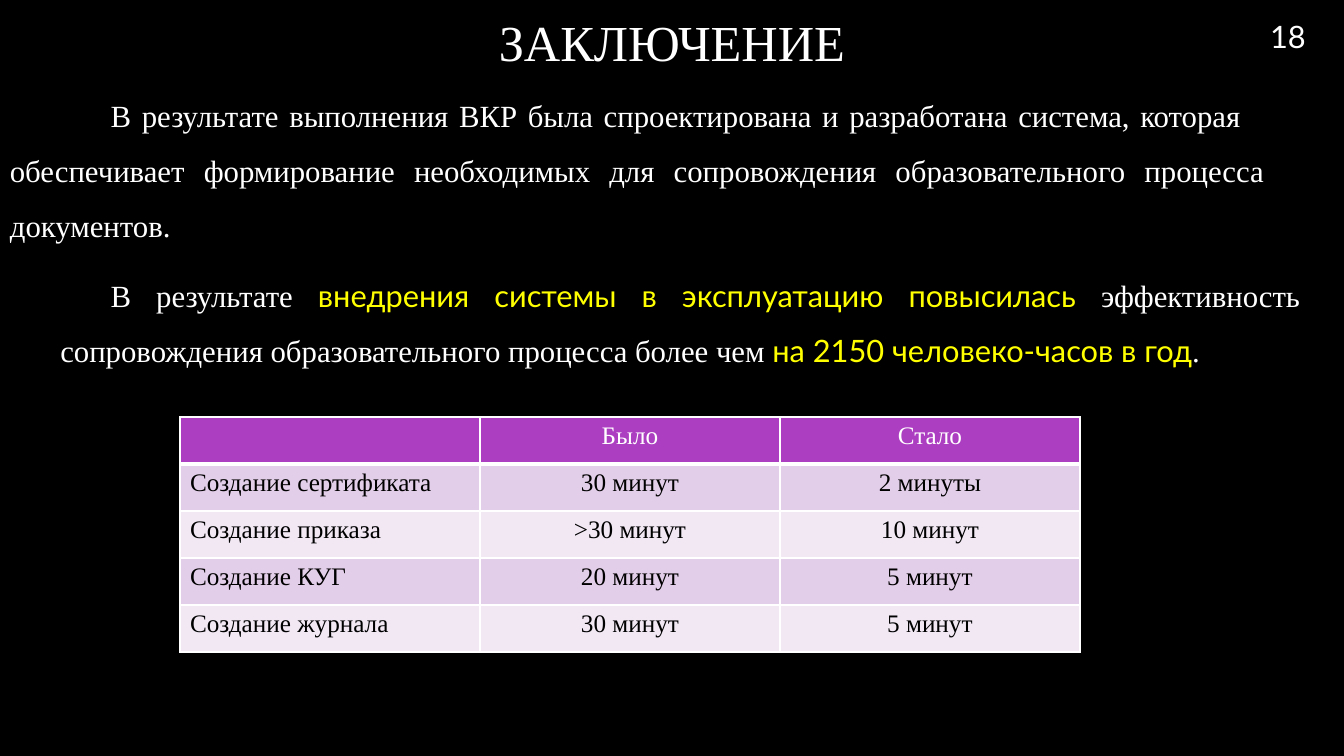
"""Build the conclusion slide with a before/after time table."""
from dataclasses import dataclass

from lxml import etree
from pptx import Presentation
from pptx import util as u
from pptx.dml.color import RGBColor
from pptx.enum import text
from pptx.oxml.ns import qn


@dataclass(frozen=True)
class Theme:
    """Colours, fonts and type sizes."""
    back: str = "000000"
    light: str = "FFFFFF"
    dark: str = "000000"
    accent: str = "FFFF00"
    header: str = "AC3EC1"
    bands: tuple = ("E3CEE9", "F1E8F4")
    serif: str = "Times New Roman"
    sans: str = "Lato"
    title: int = 36
    body: int = 22
    cell: int = 18


T = Theme()
CENTER = text.PP_ALIGN.CENTER
JUSTIFY = text.PP_ALIGN.JUSTIFY
RESULT = ("\t\tВ результате выполнения ВКР была спроектирована и разработана система, "
          "которая \tобеспечивает формирование необходимых для сопровождения "
          "образовательного процесса \tдокументов.")
EFFECT = (
    ("\tВ результате ", False),
    ("внедрения системы в эксплуатацию повысилась ", True),
    ("эффективность сопровождения образовательного процесса более чем ", False),
    ("на 2150 человеко-часов в год", True),
    (".", False),
)
ROWS = (
    ("", "Было", "Стало"),
    ("Создание сертификата", "30 минут", "2 минуты"),
    ("Создание приказа", ">30 минут", "10 минут"),
    ("Создание КУГ", "20 минут", "5 минут"),
    ("Создание журнала", "30 минут", "5 минут"),
)


def px(n):
    """Turn pixels into EMU."""
    return u.Emu(round(n * 914400 / 100.8))


def style(r, size, font=T.serif, color=T.light):
    """Format one run."""
    r.font.size = u.Pt(size)
    r.font.name = font
    r.font.bold = False
    r.font.color.rgb = RGBColor.from_string(color)


def add_box(s, x, y, w, h, anchor=text.MSO_ANCHOR.MIDDLE):
    """Add a wrapping text box and return its text frame."""
    tf = s.shapes.add_textbox(px(x), px(y), px(w), px(h)).text_frame
    tf.word_wrap = True
    tf.vertical_anchor = anchor
    return tf


def add_label(s, label, box, size, font):
    """Add one centred line of text."""
    tf = add_box(s, *box)
    tf.text = label
    p = tf.paragraphs[0]
    p.alignment = CENTER
    style(p.runs[0], size, font)


def add_body(s):
    """Add the two justified paragraphs."""
    tf = add_box(s, 0, 73, 1310, 616, text.MSO_ANCHOR.TOP)
    tf.text = RESULT
    style(tf.paragraphs[0].runs[0], T.body)
    effect = tf.add_paragraph()
    effect.level = 1
    for words, marked in EFFECT:
        r = effect.add_run()
        r.text = words
        style(r, T.body, *((T.sans, T.accent) if marked else ()))
    half_inch = str(u.Inches(0.5))
    for p, margin in zip(tf.paragraphs, ("0", half_inch)):
        p.alignment = JUSTIFY
        p.line_spacing = 1.5
        p.space_after = u.Pt(10)
        pPr = p._p.get_or_add_pPr()
        pPr.set("marL", margin)
        pPr.set("indent", "0")
        pPr.set("defTabSz", half_inch)


def add_borders(cell, widths):
    """Draw the left, right, top and bottom cell borders."""
    tcPr = cell._tc.get_or_add_tcPr()
    for side, width in zip("LRTB", widths):
        ln = etree.SubElement(tcPr, qn(f"a:ln{side}"), w=str(u.Pt(width)))
        fill = etree.SubElement(ln, qn("a:solidFill"))
        etree.SubElement(fill, qn("a:srgbClr"), val=T.light)


def add_times(s, x, y, col_w, row_h):
    """Add the table of times before and after."""
    n_rows, n_cols = len(ROWS), len(ROWS[0])
    table = s.shapes.add_table(n_rows, n_cols, px(x), px(y),
                               px(col_w * n_cols), px(row_h * n_rows)).table
    table.first_row = table.horz_banding = False
    for i, row in enumerate(ROWS):
        table.rows[i].height = px(row_h)
        for j, value in enumerate(row):
            cell = table.cell(i, j)
            add_borders(cell, (1, 1, 3 if i == 1 else 1, 3 if i == 0 else 1))
            cell.fill.solid()
            color = T.bands[(i - 1) % 2] if i else T.header
            cell.fill.fore_color.rgb = RGBColor.from_string(color)
            cell.text = value
            p = cell.text_frame.paragraphs[0]
            p.alignment = CENTER if j else text.PP_ALIGN.LEFT
            for r in p.runs:
                style(r, T.cell, color=T.dark if i else T.light)
    for col in table.columns:
        col.width = px(col_w)


def main():
    """Build and save the slide."""
    prs = Presentation()
    prs.slide_width, prs.slide_height = px(1344), px(756)
    s = prs.slides.add_slide(prs.slide_layouts[6])
    s.background.fill.solid()
    s.background.fill.fore_color.rgb = RGBColor.from_string(T.back)
    add_label(s, "ЗАКЛЮЧЕНИЕ", (0, 0, 1344, 83), T.title, T.serif)
    add_body(s)
    add_label(s, "18", (1232, 0, 112, 73), T.body, T.sans)
    add_times(s, 180, 417, 300, 47)
    prs.save("out.pptx")


if __name__ == "__main__":
    main()
